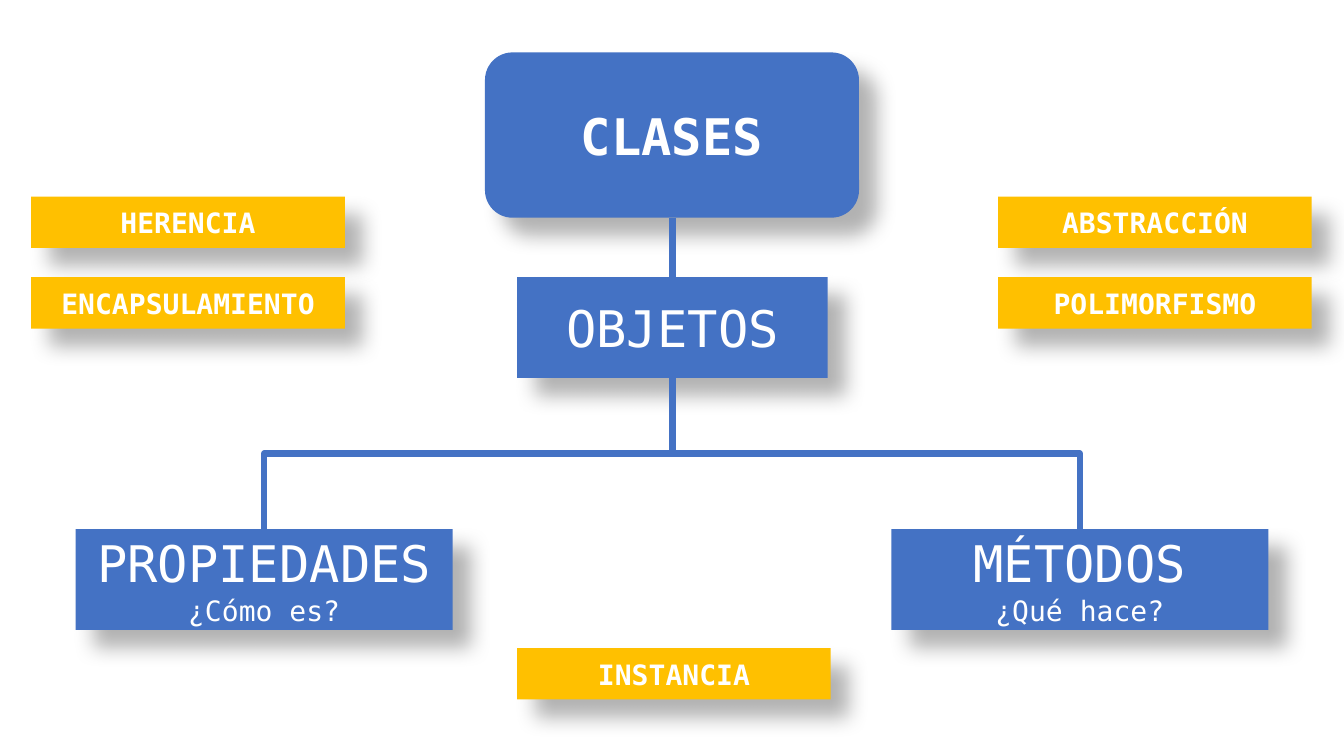
from dataclasses import dataclass

from lxml import etree
from pptx import Presentation
from pptx import util as u
from pptx.dml.color import RGBColor
from pptx.enum import shapes, text
from pptx.oxml import ns

COLORS = {"concept": "4472C4", "pillar": "FFC000", "label": "FFFFFF", "shadow": "000000"}
FONT = "DejaVu Sans Mono"
SHADOW = {"blurRad": u.Pt(15), "dist": u.Pt(18), "dir": 45 * 60000, "algn": "tl", "rotWithShape": 0}
SHADOW_OPACITY = 30
FRAME = {"word_wrap": True, "vertical_anchor": text.MSO_ANCHOR.MIDDLE}
CENTER_X = 6.67
PILLAR_SIZE = (3.11, 0.51)
RECT = shapes.MSO_SHAPE.RECTANGLE


@dataclass
class Box:
    title: str
    left: float
    top: float
    width: float
    height: float
    color: str = "concept"
    size: int = 36
    bold: bool = False
    question: str = ""
    outline: shapes.MSO_SHAPE = RECT


@dataclass
class Branch:
    child_x: float
    start_y: float
    end_y: float


def rgb(key: str) -> RGBColor:
    return RGBColor.from_string(COLORS[key])


def add_shadow(shape) -> None:
    shape.shadow.inherit = False
    effects = shape._element.spPr.find(ns.qn("a:effectLst"))
    outer = etree.SubElement(effects, ns.qn("a:outerShdw"))
    for key, value in SHADOW.items():
        outer.set(key, str(int(value)) if key != "algn" else value)
    tone = etree.SubElement(outer, ns.qn("a:srgbClr"), val=COLORS["shadow"])
    etree.SubElement(tone, ns.qn("a:alpha"), val=str(SHADOW_OPACITY * 1000))


def write_line(paragraph, words: str, size: int, bold: bool) -> None:
    paragraph.alignment = text.PP_ALIGN.CENTER
    run = paragraph.add_run()
    run.text = words
    for key, value in {"name": FONT, "size": u.Pt(size), "bold": bold}.items():
        setattr(run.font, key, value)
    run.font.color.rgb = rgb("label")


def draw_box(slide, box: Box) -> None:
    place = map(u.Inches, (box.left, box.top, box.width, box.height))
    shape = slide.shapes.add_shape(box.outline, *place)
    shape.fill.solid()
    shape.fill.fore_color.rgb = rgb(box.color)
    shape.line.fill.background()
    add_shadow(shape)
    frame = shape.text_frame
    for key, value in FRAME.items():
        setattr(frame, key, value)
    write_line(frame.paragraphs[0], box.title, box.size, box.bold)
    if box.question:
        write_line(frame.add_paragraph(), box.question, 20, False)


def add_link(slide, kind: shapes.MSO_CONNECTOR, *ends: float):
    link = slide.shapes.add_connector(kind, *map(u.Inches, ends))
    link.line.color.rgb = rgb("concept")
    link.line.width = u.Pt(4.5)
    etree.SubElement(link._element.spPr, ns.qn("a:effectLst"))
    return link


def draw_branch(slide, branch: Branch) -> None:
    """Draw an elbow turned a quarter so that it leaves its parent downwards."""
    side = 1 if branch.child_x > CENTER_X else -1
    drop = (branch.end_y - branch.start_y) / 2
    reach = abs(branch.child_x - CENTER_X) / 2
    mid_x = (branch.child_x + CENTER_X) / 2
    mid_y = (branch.start_y + branch.end_y) / 2
    link = add_link(slide, shapes.MSO_CONNECTOR.ELBOW, mid_x + side * drop, mid_y - reach,
                    mid_x - side * drop, mid_y + reach)
    turn = 270 if side > 0 else 90
    link._element.spPr.find(ns.qn("a:xfrm")).set("rot", str(turn * 60000))


def pillar(title: str, left: float, top: float) -> Box:
    return Box(title, left, top, *PILLAR_SIZE, color="pillar", size=20, bold=True)


CONCEPTS = [
    Box("CLASES", 4.81, 0.52, 3.71, 1.64, bold=True, outline=shapes.MSO_SHAPE.ROUNDED_RECTANGLE),
    Box("OBJETOS", 5.13, 2.75, 3.08, 1),
    Box("PROPIEDADES", 0.75, 5.25, 3.74, 1, question="¿Cómo es?"),
    Box("MÉTODOS", 8.84, 5.25, 3.74, 1, question="¿Qué hace?"),
]
BRANCHES = [Branch(child_x, 3.75, 5.25) for child_x in (10.71, 2.62)]
PILLAR_COLUMNS = {0.31: ("HERENCIA", "ENCAPSULAMIENTO"), 9.9: ("ABSTRACCIÓN", "POLIMORFISMO")}


def main() -> None:
    deck = Presentation()
    deck.slide_width, deck.slide_height = u.Inches(13.33), u.Inches(7.5)
    slide = deck.slides.add_slide(deck.slide_layouts[6])

    # Class hierarchy
    for concept in CONCEPTS:
        draw_box(slide, concept)
    add_link(slide, shapes.MSO_CONNECTOR.STRAIGHT, CENTER_X, 2.16, CENTER_X, 2.75)
    for branch in BRANCHES:
        draw_branch(slide, branch)

    # Pillars at both sides, instance at the bottom
    for left, titles in PILLAR_COLUMNS.items():
        for row, title in enumerate(titles):
            draw_box(slide, pillar(title, left, 1.95 + 0.8 * row))
    draw_box(slide, pillar("INSTANCIA", 5.13, 6.43))

    deck.save("out.pptx")


if __name__ == "__main__":
    main()
